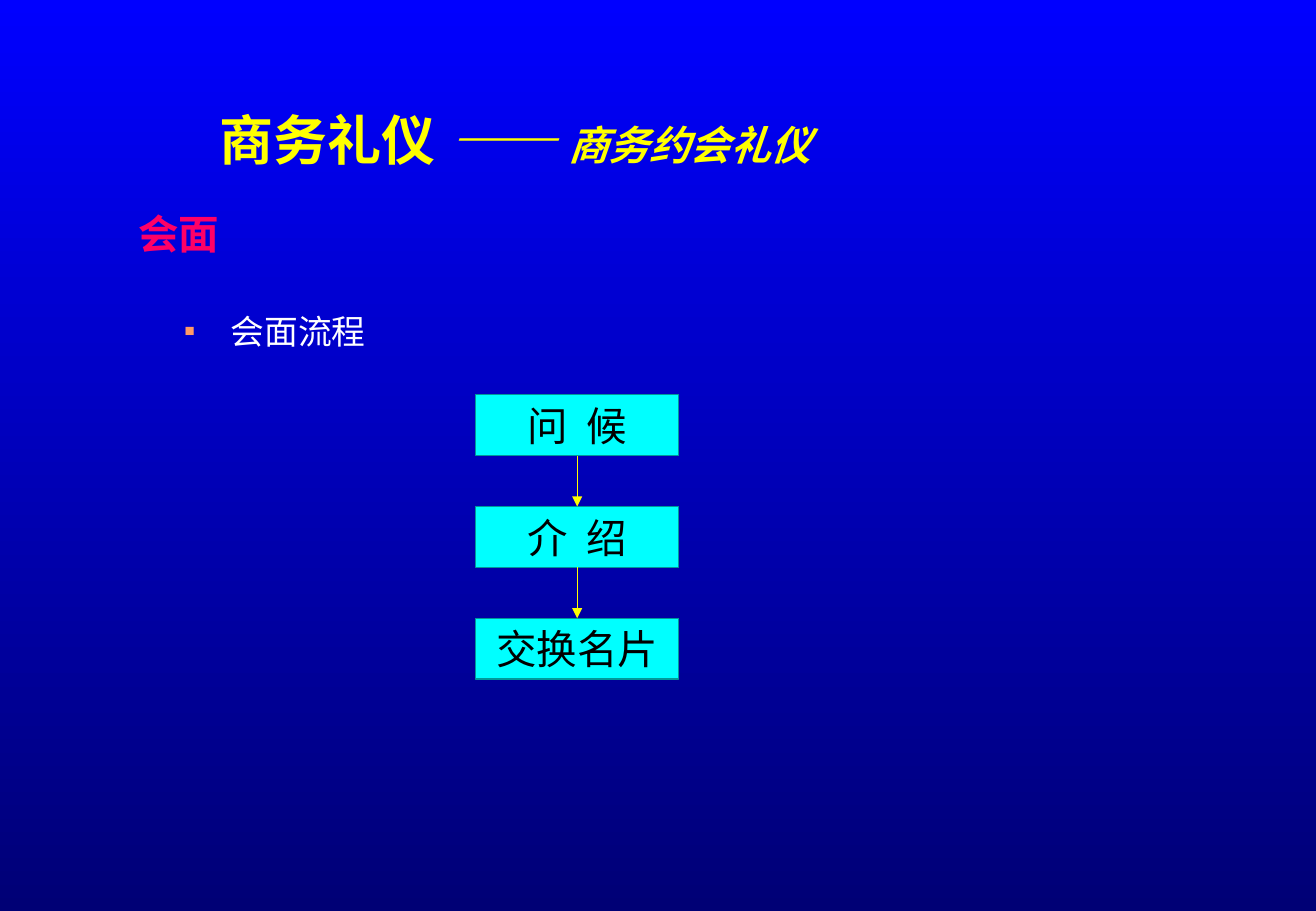
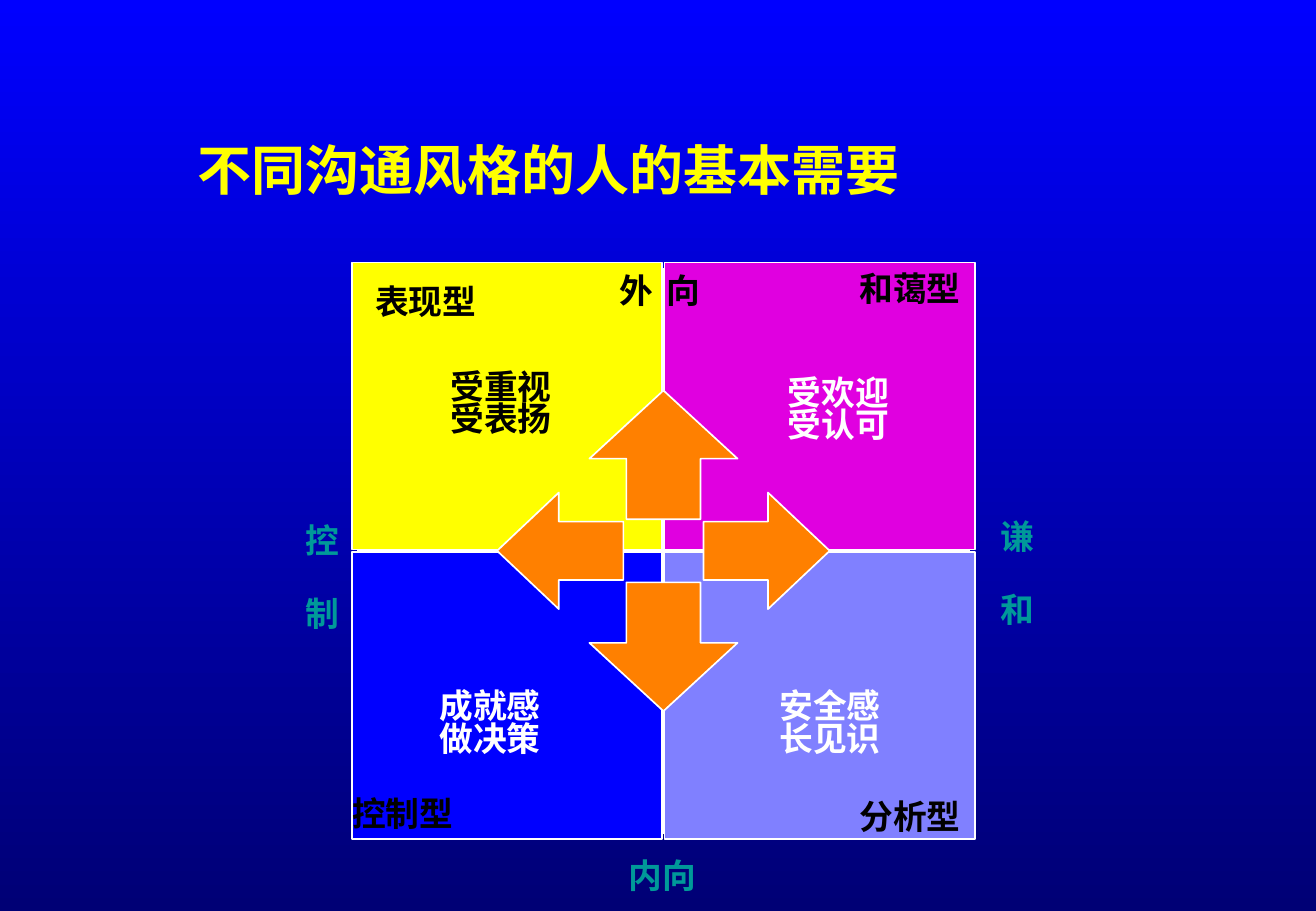
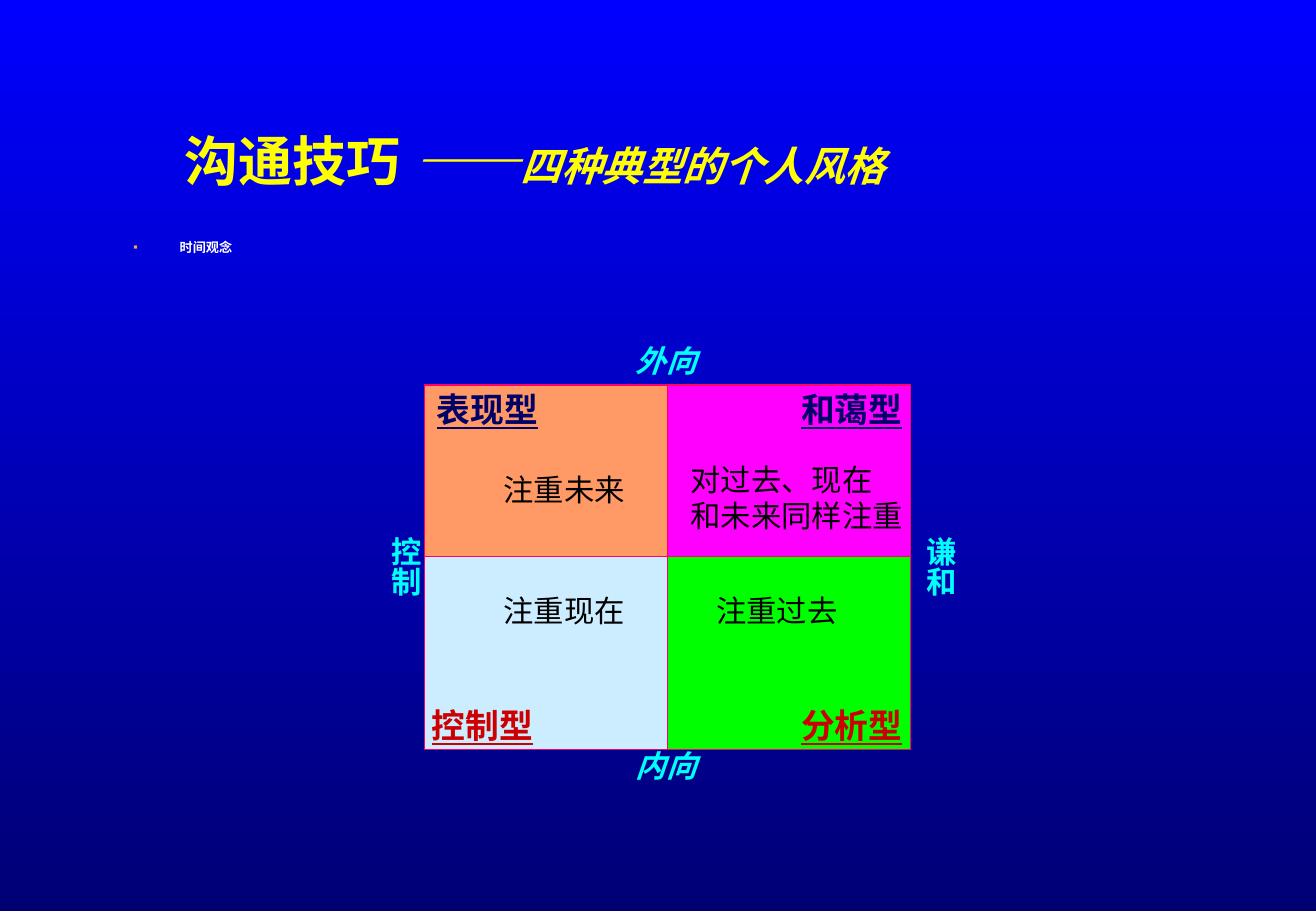
"""Build three slides on business etiquette and communication styles."""
import dataclasses

import lxml.etree
import pptx
import pptx.dml.color
import pptx.enum.shapes
import pptx.enum.text
import pptx.oxml.ns
import pptx.util

Inches = pptx.util.Inches
Pt = pptx.util.Pt
qn = pptx.oxml.ns.qn
SHAPE = pptx.enum.shapes.MSO_SHAPE
ALIGN = pptx.enum.text.PP_ALIGN
ANCHOR = pptx.enum.text.MSO_ANCHOR


@dataclasses.dataclass(frozen=True)
class Theme:
    """Colours, fonts and type sizes of the deck."""

    serif: str = "Times New Roman"
    narrow: str = "Arial Narrow"
    sans: str = "Noto Sans CJK SC"
    sky: str = "0000FF"
    night: str = "000075"
    yellow: str = "FFFF00"
    white: str = "FFFFFF"
    ink: str = "010000"
    rose: str = "FF0066"
    cyan: str = "00FFFF"
    teal: str = "009999"
    peach: str = "FF9966"
    orange: str = "FF8000"
    magenta: str = "E000E0"
    lilac: str = "8080FF"
    fuchsia: str = "FF00FF"
    ice: str = "CCECFF"
    green: str = "00FF00"
    navy: str = "000066"
    red: str = "CC0000"
    title: float = 32
    large: float = 24
    medium: float = 20
    small: float = 18
    tiny: float = 7.8


T = Theme()


def rgb(color):
    """Return a colour object for a hex string."""
    return pptx.dml.color.RGBColor.from_string(color)


def add_run(p, text, size, color, font=T.serif, bold=False, italic=False, underline=False):
    """Append one formatted run to a paragraph."""
    r = p.add_run()
    r.text = text
    r.font.size = Pt(size)
    r.font.name = font
    r.font.bold = bold
    r.font.italic = italic
    r.font.underline = underline
    r.font.color.rgb = rgb(color)
    lxml.etree.SubElement(r.font._element, qn("a:ea"), typeface=T.sans)


def place(sp, x, y, w, h):
    """Move a shape to a box given in inches."""
    sp.left, sp.top, sp.width, sp.height = (Inches(v) for v in (x, y, w, h))


def set_frame(tf, inset=(0.1, 0.05), anchor=ANCHOR.MIDDLE, wrap=False):
    """Set insets, anchor and wrapping of a text frame."""
    tf.margin_left = tf.margin_right = Inches(inset[0])
    tf.margin_top = tf.margin_bottom = Inches(inset[1])
    tf.vertical_anchor = anchor
    tf.word_wrap = wrap
    tf.auto_size = pptx.enum.text.MSO_AUTO_SIZE.NONE


def add_title(s, x, y, w, *runs):
    """Fill the title placeholder with runs of text and style."""
    sp = s.shapes.title
    place(sp, x, y, w, 0.92)
    set_frame(sp.text_frame, wrap=True)
    p = sp.text_frame.paragraphs[0]
    p.alignment = ALIGN.LEFT
    p.line_spacing = 0.7
    for text, style in runs:
        add_run(p, text, **{"size": T.title, "color": T.yellow, "bold": True, **style})


def add_bullet(s, box, text, size, spacing, bold=False):
    """Fill the body placeholder with one square-bulleted item."""
    sp = s.placeholders[1]
    place(sp, *box)
    set_frame(sp.text_frame, anchor=ANCHOR.TOP, wrap=True)
    p = sp.text_frame.paragraphs[0]
    p.alignment = ALIGN.JUSTIFY
    p.line_spacing = spacing
    p.space_before = Pt(5)
    pPr = p._p.get_or_add_pPr()
    pPr.set("marL", str(Inches(0.38)))
    pPr.set("indent", str(-Inches(0.38)))
    color = lxml.etree.SubElement(pPr, qn("a:buClr"))
    lxml.etree.SubElement(color, qn("a:srgbClr"), val=T.peach)
    lxml.etree.SubElement(pPr, qn("a:buSzPct"), val="50000")
    lxml.etree.SubElement(pPr, qn("a:buFont"), typeface=T.serif)
    lxml.etree.SubElement(pPr, qn("a:buChar"), char="■")
    add_run(p, text, size, T.white, bold=bold)


def add_label(s, x, y, w, h, text, size, color, inset=(0.1, 0.05), pitch=None, **style):
    """Add a text box with one paragraph per line of text."""
    tf = s.shapes.add_textbox(Inches(x), Inches(y), Inches(w), Inches(h)).text_frame
    set_frame(tf, inset)
    for i, line in enumerate(text.split("\n")):
        p = tf.add_paragraph() if i else tf.paragraphs[0]
        if pitch:
            p.line_spacing = Pt(pitch)
        add_run(p, line, size, color, **style)
    return tf


def add_vertical_label(s, x, y, text):
    """Add a label whose characters run from top to bottom."""
    tf = add_label(s, x, y, 0.5, 0.6, text, T.small, T.cyan, (0.05, 0.1), bold=True)
    tf._txBody.find(qn("a:bodyPr")).set("vert", "eaVert")
    tf.paragraphs[0].alignment = ALIGN.CENTER


def add_series(s, x, y, w, step, texts, color):
    """Add equal sans labels, each one step (dx, dy) after the last."""
    for i, text in enumerate(texts):
        add_label(s, x + i * step[0], y + i * step[1], w, 0.33, text, T.medium, color,
                  (0, 0), font=T.sans, bold=True)


def add_block(s, kind, x, y, w, h, fill, line, width=0.75):
    """Add a flat preset shape, unfilled if fill is None."""
    sp = s.shapes.add_shape(kind, Inches(x), Inches(y), Inches(w), Inches(h))
    sp.shadow.inherit = False
    if fill:
        sp.fill.solid()
        sp.fill.fore_color.rgb = rgb(fill)
    else:
        sp.fill.background()
    sp.line.color.rgb = rgb(line)
    sp.line.width = Pt(width)
    return sp


def add_line(s, x1, y1, x2, y2, color, arrow=False):
    """Add a straight connector, with an arrowhead at its end if asked."""
    cn = s.shapes.add_connector(pptx.enum.shapes.MSO_CONNECTOR.STRAIGHT,
                                Inches(x1), Inches(y1), Inches(x2), Inches(y2))
    cn.line.color.rgb = rgb(color)
    cn.line.width = Pt(0.75)
    if arrow:
        lxml.etree.SubElement(cn.line._get_or_add_ln(), qn("a:tailEnd"), type="triangle")
    lxml.etree.SubElement(cn._element.spPr, qn("a:effectLst"))


def add_flow(s, x, y, w, h, step, texts):
    """Stack boxes downwards and join them with arrows."""
    for i, text in enumerate(texts):
        top = y + i * step
        sp = add_block(s, SHAPE.RECTANGLE, x, top, w, h, T.cyan, T.teal)
        set_frame(sp.text_frame)
        p = sp.text_frame.paragraphs[0]
        p.alignment = ALIGN.CENTER
        add_run(p, text, T.large, T.ink)
        if i:
            add_line(s, x + w / 2, top - step + h, x + w / 2, top, T.yellow, arrow=True)


def add_arrows(s, cx, cy):
    """Place four block arrows pointing away from a centre."""
    wide, tall = (1.04, 0.96), (1.22, 1.06)
    across, down = 0.33, 0.26
    arrows = [
        (SHAPE.RIGHT_ARROW, across, -wide[1] / 2, wide),
        (SHAPE.LEFT_ARROW, -across - wide[0], -wide[1] / 2, wide),
        (SHAPE.DOWN_ARROW, -tall[0] / 2, down, tall),
        (SHAPE.UP_ARROW, -tall[0] / 2, -down - tall[1], tall),
    ]
    for kind, dx, dy, size in arrows:
        sp = add_block(s, kind, cx + dx, cy + dy, *size, T.orange, T.white, 1)
        sp.adjustments[0] = 0.5
        sp.adjustments[1] = 0.53


def add_needs_matrix(s, x, y, w, h):
    """Draw the four styles with their needs, arrows and axis names."""
    add_block(s, SHAPE.RECTANGLE, x + 0.05, y + 0.05, w - 0.1, h - 0.1, T.white, T.white, 1)
    cell_w, cell_h = w / 2 - 0.01, h / 2 - 0.01
    for i, fill in enumerate((T.yellow, T.magenta, T.sky, T.lilac)):
        row, col = divmod(i, 2)
        add_block(s, SHAPE.RECTANGLE, x + col * (w - cell_w), y + row * (h - cell_h),
                  cell_w, cell_h, fill, T.white, 1)
    needs = [
        (0.81, 0.85, ("受重视", "受表扬"), T.ink),
        (0.72, 3.48, ("成就感", "做决策"), T.white),
        (3.52, 3.48, ("安全感", "长见识"), T.white),
        (3.59, 0.9, ("受欢迎", "受认可"), T.white),
    ]
    for dx, dy, texts, color in needs:
        add_series(s, x + dx, y + dy, 0.84, (0, 0.27), texts, color)
    add_arrows(s, x + w / 2, y + h / 2)
    axes = [
        (2.2, 0.06, (0.39, 0), "外向", T.ink),
        (2.28, h + 0.13, (0.28, 0), "内向", T.teal),
        (w + 0.21, 2.09, (0, 0.6), "谦和", T.teal),
        (-0.38, 2.12, (0, 0.6), "控制", T.teal),
    ]
    for dx, dy, step, texts, color in axes:
        add_series(s, x + dx, y + dy, 0.28, step, texts, color)
    names = [(0.19, 0.15, "表现型"), (0, 4.37, "控制型"),
             (4.18, 4.39, "分析型"), (4.18, 0.05, "和蔼型")]
    for dx, dy, name in names:
        add_series(s, x + dx, y + dy, 0.84, (0, 0), [name], T.ink)


def add_time_matrix(s, x, y, w, h, split):
    """Draw the four styles with their views of time and axis names."""
    half = w / 2
    cells = [
        (0, split, h - split, T.ice, T.teal),
        (half, 0, split, T.fuchsia, T.teal),
        (half, split, h - split, T.green, T.teal),
        (0, 0, split, T.peach, T.rose),
    ]
    for dx, dy, cell_h, fill, line in cells:
        add_block(s, SHAPE.RECTANGLE, x + dx, y + dy, half, cell_h, fill, line)
    add_block(s, SHAPE.RECTANGLE, x, y, w, h, None, T.rose)
    add_line(s, x, y + split, x + w, y + split, T.rose)
    add_line(s, x + half, y, x + half, y + h, T.rose)
    for dy, text in ((-0.4, "外向"), (h - 0.07, "内向")):
        add_label(s, x + 1.64, y + dy, 0.7, 0.4, text, T.small, T.cyan, bold=True, italic=True)
    names = [
        (0, -0.02, "表现型", T.navy),
        (3, -0.02, "和蔼型", T.navy),
        (-0.04, 2.58, "控制型", T.red),
        (3, 2.58, "分析型", T.red),
    ]
    for dx, dy, name, color in names:
        add_label(s, x + dx, y + dy, 1.03, 0.44, name, T.medium, color, bold=True, underline=True)
    for dx, text in ((-0.41, "控制"), (w, "谦和")):
        add_vertical_label(s, x + dx, y + 1.15, text)
    views = [
        (0.55, 0.66, 1.2, 0.4, "注重未来"),
        (0.55, 1.66, 1.2, 0.4, "注重现在"),
        (2.09, 0.58, 1.95, 0.7, "对过去、现在\n和未来同样注重"),
        (2.3, 1.66, 1.2, 0.4, "注重过去"),
    ]
    for dx, dy, box_w, box_h, text in views:
        add_label(s, x + dx, y + dy, box_w, box_h, text, T.small, T.ink, pitch=21.4)


def set_background(master):
    """Give the slide master a vertical blue gradient."""
    fill = master.background.fill
    fill.gradient()
    fill.gradient_angle = 270
    for stop, color in zip(fill.gradient_stops, (T.sky, T.night)):
        stop.color.rgb = rgb(color)


def build_meeting(prs):
    """Build the slide on the steps of a meeting."""
    s = prs.slides.add_slide(prs.slide_layouts[1])
    add_title(s, 1.71, 0.75, 8.13, ("商务礼仪 ", {}), ("—— ", {"italic": True}),
              ("商务约会礼仪", {"italic": True, "size": T.large}))
    add_bullet(s, (1.42, 2.44, 9.25, 4.83), "会面流程", T.medium, 1.2)
    add_label(s, 1.04, 1.67, 0.86, 0.5, "会面", T.large, T.rose, bold=True)
    add_flow(s, 3.92, 3.25, 1.67, 0.5, 0.92, ("问  候", "介  绍", "交换名片"))


def build_needs(prs):
    """Build the slide on the needs of each style."""
    s = prs.slides.add_slide(prs.slide_layouts[5])
    add_title(s, 1.53, 1, 8.13, ("不同沟通风格的人的基本需要", {"font": T.narrow}))
    add_needs_matrix(s, 2.9, 2.16, 5.13, 4.75)


def build_time(prs):
    """Build the slide on how each style sees time."""
    s = prs.slides.add_slide(prs.slide_layouts[1])
    add_title(s, 1.42, 0.92, 8.33, ("沟通技巧 ", {}), ("——", {"italic": True}),
              ("四种典型的个人风格", {"italic": True, "size": T.large}))
    add_bullet(s, (1, 1.92, 2.33, 0.58), "时间观念", T.tiny, 1.0, bold=True)
    add_time_matrix(s, 3.5, 3.17, 4, 3, 1.41)


def main():
    """Build and save the deck."""
    prs = pptx.Presentation()
    prs.slide_width, prs.slide_height = Inches(10.84), Inches(7.5)
    set_background(prs.slide_master)
    for build in (build_meeting, build_needs, build_time):
        build(prs)
    prs.save("out.pptx")


if __name__ == "__main__":
    main()
